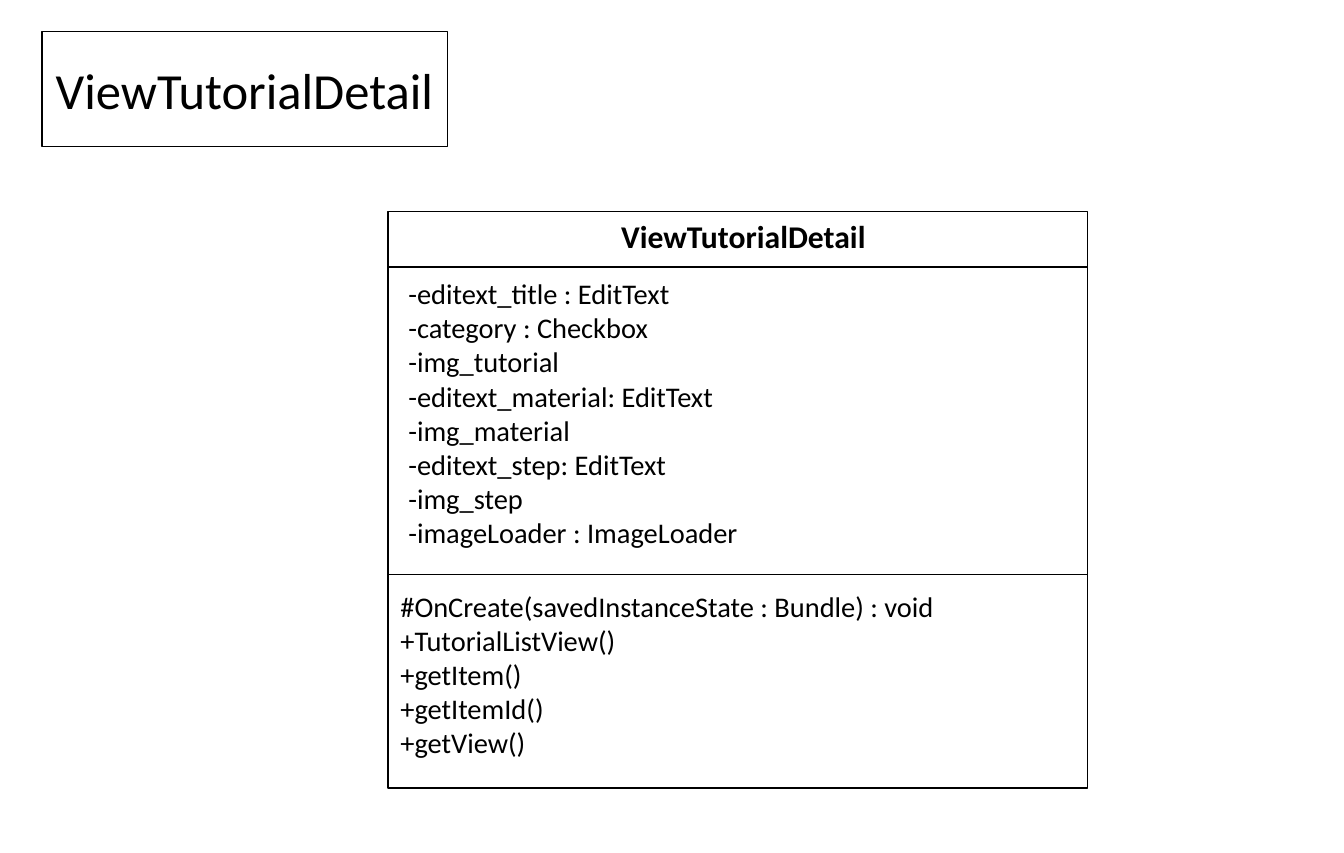
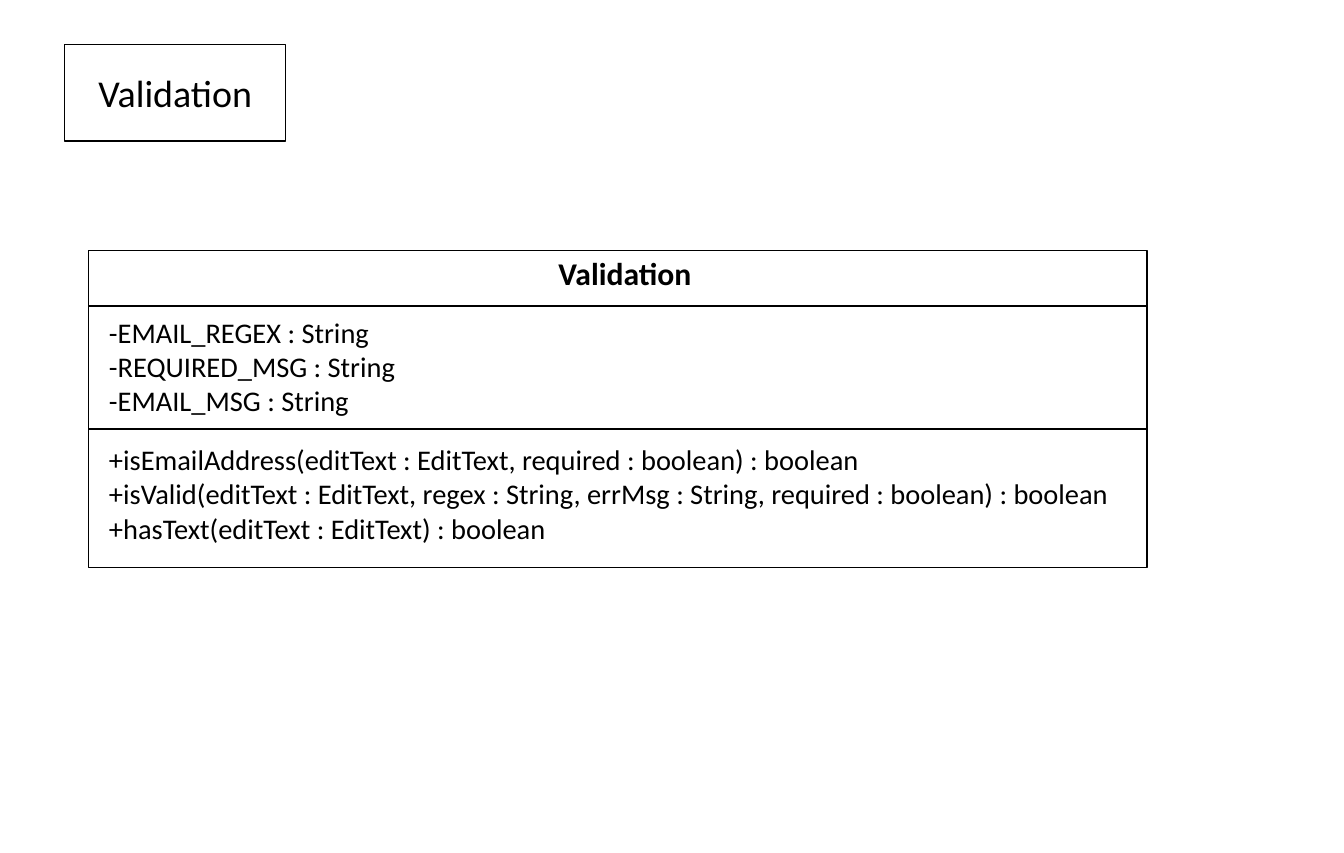
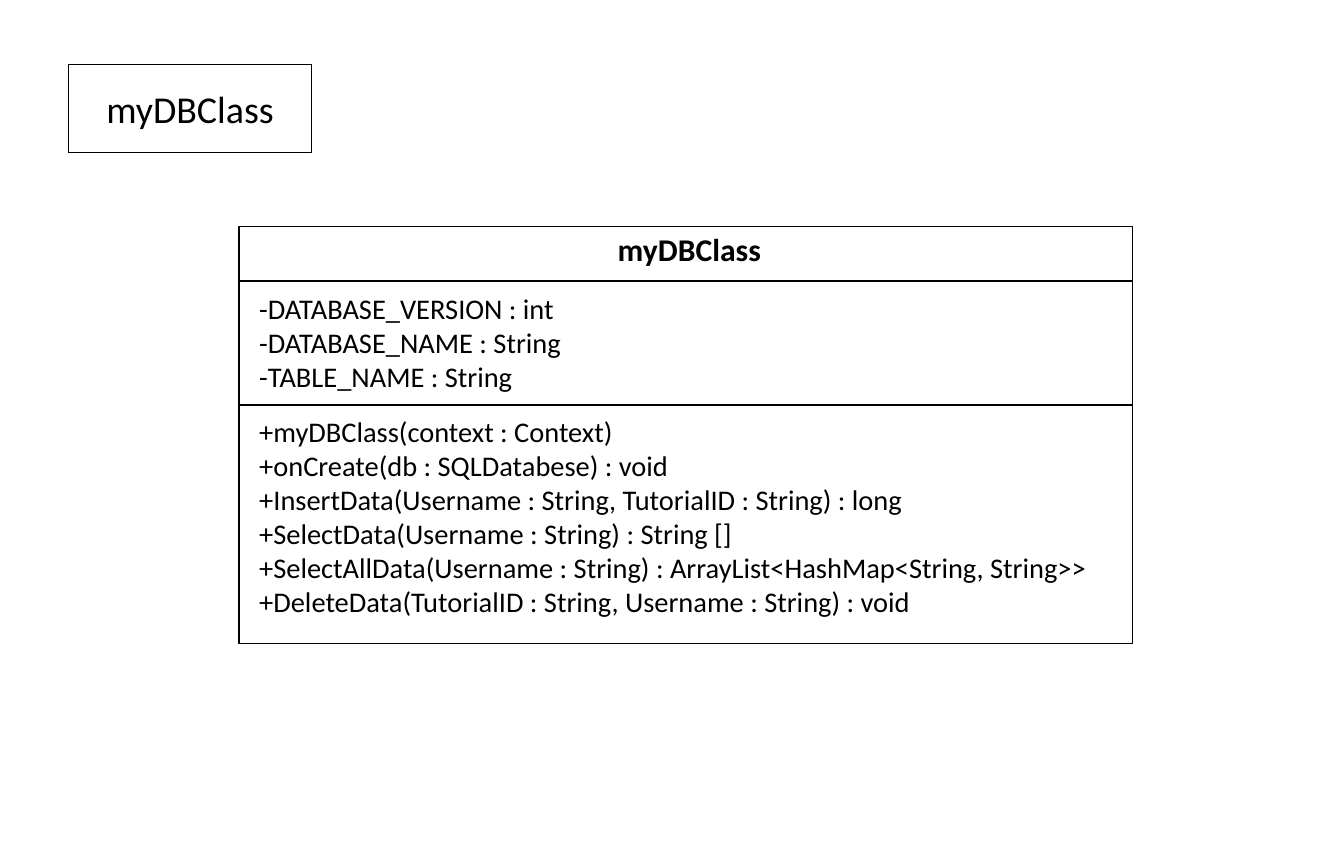
from lxml.etree import SubElement
from pptx import Presentation
from pptx.dml.color import RGBColor
from pptx.enum.shapes import MSO_CONNECTOR, MSO_SHAPE
from pptx.enum.text import MSO_ANCHOR, MSO_AUTO_SIZE, PP_ALIGN
from pptx.oxml.ns import qn
from pptx.util import Inches, Pt

HUES = {"ink": "000000", "paper": "FFFFFF"}
FONT = "Calibri"
NAME_SIZE, BODY_SIZE = 20, 18
WIDTH, HEIGHT = 30 / 2.54, 7.5  # 30 cm wide


def hue(name):
    return RGBColor.from_string(HUES[name])


class Deck:
    def __init__(self, width, height):
        self.file = Presentation()
        self.file.slide_width = Inches(width)
        self.file.slide_height = Inches(height)
        self.slide = None

    def page(self):
        self.slide = self.file.slides.add_slide(self.file.slide_layouts[6])

    def style(self, frame, size, bold=False, align=PP_ALIGN.LEFT):
        for para in frame.paragraphs:
            para.alignment = align
            for run in para.runs:
                font = run.font
                font.name, font.size, font.bold = FONT, Pt(size), bold
                font.color.rgb = hue("ink")

    def box(self, area):
        box = self.slide.shapes.add_shape(MSO_SHAPE.RECTANGLE, *map(Inches, area))
        box.shadow.inherit = False
        box.fill.solid()
        box.fill.fore_color.rgb = hue("paper")
        box.line.color.rgb = hue("ink")
        box.line.width = Pt(0.75)
        return box

    def title(self, text, size, area):
        frame = self.box(area).text_frame
        frame.text = text
        frame.vertical_anchor = MSO_ANCHOR.MIDDLE
        self.style(frame, size, align=PP_ALIGN.CENTER)

    def rule(self, left, right, top):
        line = self.slide.shapes.add_connector(
            MSO_CONNECTOR.STRAIGHT, Inches(left), Inches(top), Inches(right), Inches(top))
        line.line.color.rgb = hue("ink")
        line.line.width = Pt(1)
        SubElement(line._element.spPr, qn("a:effectLst"))

    def text(self, paras, area, size=BODY_SIZE, bold=False):
        """Write paragraphs; a vertical tab in one is a line break."""
        frame = self.slide.shapes.add_textbox(*map(Inches, area)).text_frame
        frame.word_wrap = True
        frame.auto_size = MSO_AUTO_SIZE.SHAPE_TO_FIT_TEXT
        frame.text = "\n".join(paras)
        self.style(frame, size, bold)

    def card(self, name, area, spot, parts):
        """Draw a class box; each part is (rule top, text area, paragraphs)."""
        left, _, width, _ = area
        self.box(area)
        self.text([name], spot, NAME_SIZE, bold=True)
        for top, place, paras in parts:
            self.rule(left, left + width, top)
            self.text(paras, place)

    def save(self):
        self.file.save("out.pptx")


PAGES = [
    ("ViewTutorialDetail", 32, (0.37, 0.28, 3.56, 1.01),
     (3.41, 1.86, 6.15, 5.07), (5.36, 1.86, 2.66, 0.44), [
        (2.35, (3.49, 2.38, 3.37, 2.83), [
            "-editext_title : EditText\v-category : Checkbox",
            "-img_tutorial",
            "-editext_material: EditText\v-img_material\v"
            "-editext_step: EditText\v-img_step",
            "-imageLoader : ImageLoader"]),
        (5.05, (3.42, 5.13, 5.56, 1.62), [
            "#OnCreate(savedInstanceState : Bundle) : void\v+TutorialListView()",
            "+getItem()",
            "+getItemId()",
            "+getView()"])]),
    ("Validation", 24, (0.57, 0.39, 1.94, 0.85),
     (0.78, 2.2, 9.3, 2.79), (4.81, 2.18, 1.6, 0.44), [
        (2.69, (0.86, 2.72, 6.84, 1.01), [
            "-EMAIL_REGEX : String",
            "-REQUIRED_MSG : String",
            "-EMAIL_MSG : String"]),
        (3.77, (0.86, 3.84, 9.63, 1.01), [
            "+isEmailAddress(editText : EditText, required : boolean) : boolean\v"
            "+isValid(editText : EditText, regex : String, errMsg : String, "
            "required : boolean) : boolean",
            "+hasText(editText : EditText) : boolean"])]),
    ("myDBClass", 24, (0.6, 0.57, 2.14, 0.77),
     (2.1, 1.99, 7.85, 3.67), (5.33, 1.97, 1.6, 0.44), [
        (2.47, (2.18, 2.51, 6.84, 1.01), [
            "-DATABASE_VERSION : int",
            "-DATABASE_NAME : String",
            "-TABLE_NAME : String"]),
        (3.56, (2.18, 3.59, 8, 1.92), [
            "+myDBClass(context : Context)\v+onCreate(db : SQLDatabese) : void",
            "+InsertData(Username : String, TutorialID : String) : long",
            "+SelectData(Username : String) : String []",
            "+SelectAllData(Username : String) : ArrayList<HashMap<String, String>>",
            "+DeleteData(TutorialID : String, Username : String) : void"])]),
]


def main():
    deck = Deck(WIDTH, HEIGHT)
    for name, size, head, area, spot, parts in PAGES:
        deck.page()
        deck.title(name, size, head)
        deck.card(name, area, spot, parts)
    deck.save()


if __name__ == "__main__":
    main()
